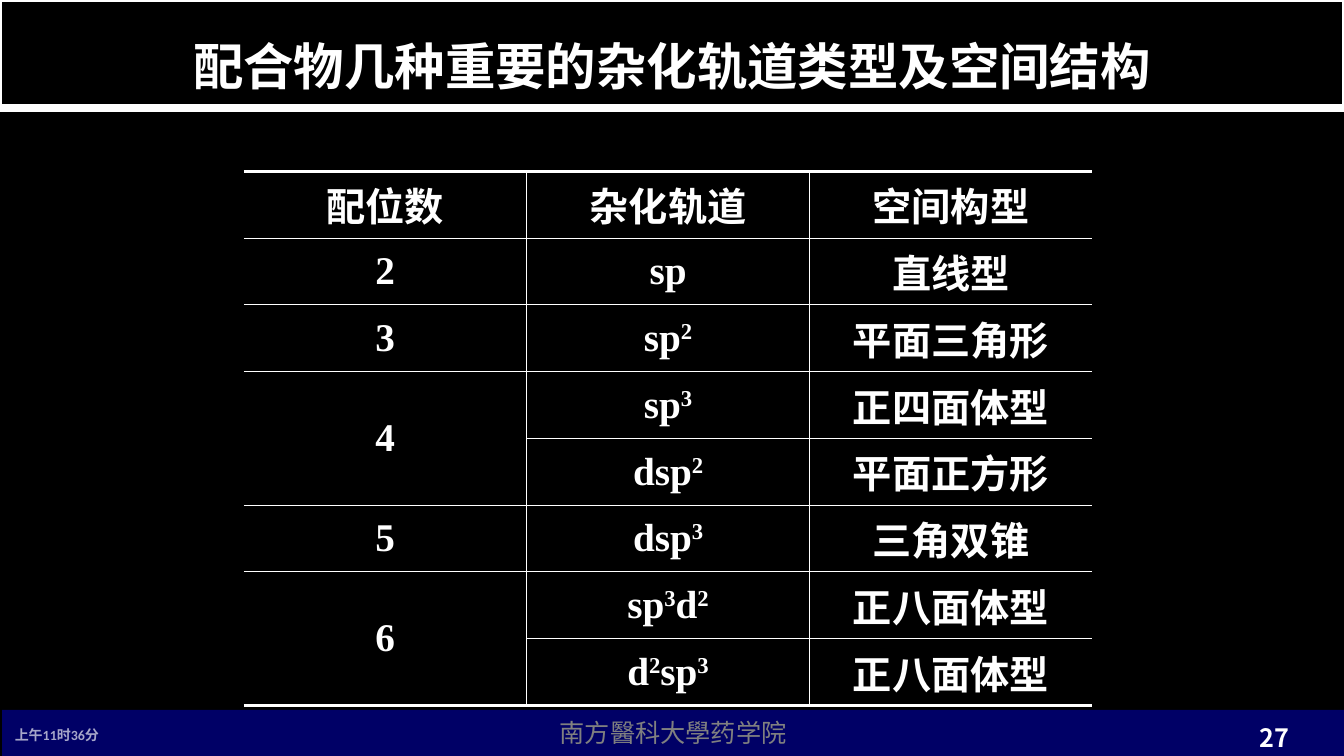
import pptx
import pptx.dml.color
import pptx.enum.shapes
import pptx.enum.text
import pptx.oxml
import pptx.oxml.ns
import pptx.util

Pt = pptx.util.Pt
ALIGN = pptx.enum.text.PP_ALIGN
SANS = "Noto Sans CJK SC"
SERIF = "Times New Roman"
WHITE, BLACK = "FFFFFF", "000000"
SLIDE_WIDTH, SLIDE_HEIGHT = 960, 540

HEADINGS = ("配位数", "杂化轨道", "空间构型")
# Every second part between bars is a superscript; an empty number joins the cell above
ORBITALS = [
    ("2", "sp", "直线型"),
    ("3", "sp|2", "平面三角形"),
    ("4", "sp|3", "正四面体型"),
    ("", "dsp|2", "平面正方形"),
    ("5", "dsp|3", "三角双锥"),
    ("6", "sp|3|d|2", "正八面体型"),
    ("", "d|2|sp|3", "正八面体型"),
]


def color(hex_string):
    return pptx.dml.color.RGBColor.from_string(hex_string)


def write(frame, text, size=18, font=SANS, fill=WHITE, bold=True,
          align=ALIGN.CENTER, space_before=0):
    frame.word_wrap = True
    frame.vertical_anchor = pptx.enum.text.MSO_ANCHOR.MIDDLE
    paragraph = frame.paragraphs[0]
    paragraph.alignment = align
    paragraph.space_before = Pt(space_before)
    for index, part in enumerate(text.split("|")):
        run = paragraph.add_run()
        run.text = part
        run.font.size = Pt(size)
        run.font.bold = bold
        run.font.color.rgb = color(fill)
        run.font.name = font
        properties = run._r.get_or_add_rPr()
        east_asian = pptx.oxml.parse_xml(
            f'<a:ea {pptx.oxml.ns.nsdecls("a")} typeface="{SANS}"/>')
        properties.find(pptx.oxml.ns.qn("a:latin")).addnext(east_asian)
        if index % 2:
            properties.set("baseline", "30000")


def add_band(slide, left, top, width, height, fill, line=None):
    band = slide.shapes.add_shape(
        pptx.enum.shapes.MSO_SHAPE.RECTANGLE, Pt(left), Pt(top), Pt(width), Pt(height))
    band.shadow.inherit = False
    band.fill.solid()
    band.fill.fore_color.rgb = color(fill)
    if line:
        band.line.color.rgb = color(line)
        band.line.width = Pt(3)
    else:
        band.line.fill.background()
    return band


def add_label(slide, left, top, width, height, text, **style):
    label = slide.shapes.add_textbox(Pt(left), Pt(top), Pt(width), Pt(height))
    write(label.text_frame, text, **style)


def add_header(slide, left, top, width, height):
    add_band(slide, left, top, width, height, BLACK, line=WHITE)

    # Thick rule under the header
    rule = slide.shapes.add_connector(
        pptx.enum.shapes.MSO_CONNECTOR.STRAIGHT,
        Pt(left), Pt(top + height), Pt(left + width), Pt(top + height))
    rule.line.color.rgb = color(WHITE)
    rule.line.width = Pt(6)
    rule._element.spPr.append(
        pptx.oxml.parse_xml(f'<a:effectLst {pptx.oxml.ns.nsdecls("a")}/>'))

    # Title, raised above the band
    title = slide.shapes.title
    title.left, title.top = Pt(left + 124), Pt(top + 26)
    title.width, title.height = Pt(width - 248), Pt(42)
    title.text_frame.auto_size = pptx.enum.text.MSO_AUTO_SIZE.NONE
    write(title.text_frame, "配合物几种重要的杂化轨道类型及空间结构", size=36, space_before=4)
    slide.shapes._spTree.append(title._element)


def set_borders(cell, **weights):
    properties = cell._tc.get_or_add_tcPr()
    for side in "LRTB":
        weight = weights[side]
        paint = f'<a:solidFill><a:srgbClr val="{WHITE}"/></a:solidFill>' if weight else "<a:noFill/>"
        properties.append(pptx.oxml.parse_xml(
            f'<a:ln{side} {pptx.oxml.ns.nsdecls("a")} w="{int(Pt(weight))}">{paint}</a:ln{side}>'))


def add_orbital_table(slide, left, top, width, height):
    rows = [HEADINGS] + ORBITALS
    last_row, last_column = len(rows) - 1, len(HEADINGS) - 1
    table = slide.shapes.add_table(
        len(rows), len(HEADINGS), Pt(left), Pt(top), Pt(width), Pt(height)).table
    table.first_row = table.horz_banding = False
    for column in table.columns:
        column.width = Pt(width / len(HEADINGS))
    for row in table.rows:
        row.height = Pt(height / len(rows))

    # Join each number with the empty cell below it
    for r, row in enumerate(rows):
        if not row[0]:
            table.cell(r - 1, 0).merge(table.cell(r, 0))

    # Heavy top and bottom rules, thin inner rules, open sides
    for r, row in enumerate(rows):
        for c, text in enumerate(row):
            cell = table.cell(r, c)
            end_row = r + cell.span_height - 1 if cell.is_merge_origin else r
            set_borders(
                cell,
                L=1 if c > 0 else 0,
                R=1 if c < last_column else 0,
                T=0 if cell.is_spanned else 2.25 if r == 0 else 1,
                B=2.25 if end_row == last_row else 1)
            cell.fill.solid()
            cell.fill.fore_color.rgb = color(BLACK)
            cell.vertical_anchor = pptx.enum.text.MSO_ANCHOR.MIDDLE
            if text:
                write(cell.text_frame, text, size=28, font=SERIF)


def add_footer(slide, left, top, width, height):
    school = add_band(slide, left, top, width, height, "000066")
    write(school.text_frame, "南方醫科大學药学院", fill="808080", bold=False)
    add_label(slide, left + 2, top + 8.5, 154, 19.5, "上午11时36分",
              size=10, font="Calibri", fill="A6A6C9", align=ALIGN.LEFT)
    add_label(slide, left + width - 124, top + 10, 92, 19.5, "27", align=ALIGN.RIGHT)


def main():
    deck = pptx.Presentation()
    deck.slide_width, deck.slide_height = Pt(SLIDE_WIDTH), Pt(SLIDE_HEIGHT)
    slide = deck.slides.add_slide(deck.slide_layouts[5])
    slide.background.fill.solid()
    slide.background.fill.fore_color.rgb = color(BLACK)

    add_footer(slide, 1.5, 507, SLIDE_WIDTH - 1.5, 33)
    add_header(slide, 0, 0, SLIDE_WIDTH, 77)
    add_orbital_table(slide, 174.2, 122.4, 606, 381.2)
    deck.save("out.pptx")


if __name__ == "__main__":
    main()
